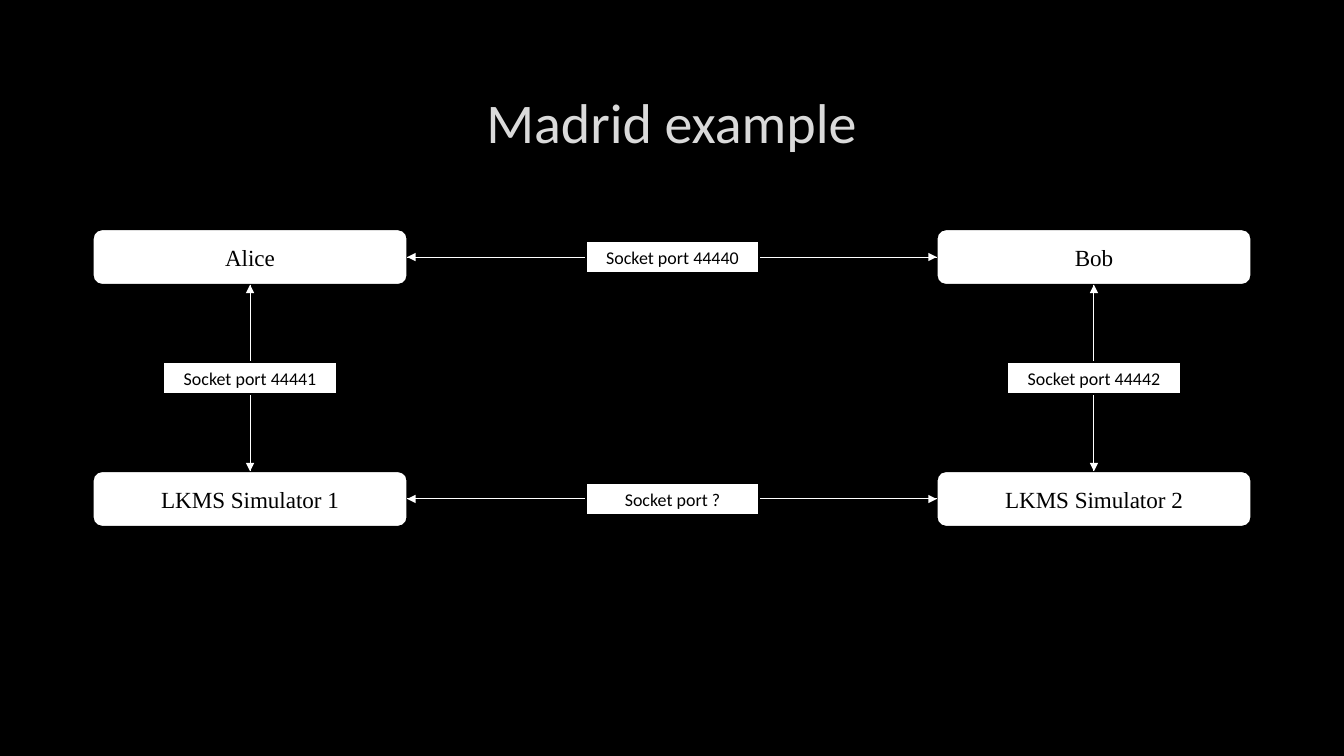
from itertools import permutations

from lxml import etree
from pptx import Presentation
from pptx.dml.color import RGBColor
from pptx.enum.shapes import MSO_CONNECTOR, MSO_SHAPE
from pptx.enum.text import MSO_ANCHOR, MSO_AUTO_SIZE, PP_ALIGN
from pptx.oxml import parse_xml
from pptx.oxml.ns import nsdecls, qn
from pptx.util import Inches, Pt


def color(hex_value):
    return RGBColor.from_string(hex_value)


def write(shape, text, format_values, hex_value):
    frame = shape.text_frame
    frame.word_wrap = True
    frame.auto_size = MSO_AUTO_SIZE.NONE
    frame.vertical_anchor = MSO_ANCHOR.MIDDLE
    paragraph = frame.paragraphs[0]
    paragraph.alignment = PP_ALIGN.CENTER
    run = paragraph.add_run()
    run.text = text
    for name, value in format_values.items():
        setattr(run.font, name, value)
    run.font.color.rgb = color(hex_value)
    return run


presentation = Presentation()
presentation.slide_width, presentation.slide_height = Inches(13.33), Inches(7.5)
slide = presentation.slides.add_slide(presentation.slide_layouts[5])
slide.background.fill.solid()
slide.background.fill.fore_color.rgb = color("000000")

# Title with a faint outline on its letters
title = slide.shapes.title
title.left, title.top, title.width, title.height = map(Inches, (1, 0.67, 11.32, 1.06))
title_run = write(title, "Madrid example", {"name": "Calibri", "size": Pt(40)}, "DADADA")
title_run.font._element.insert(0, parse_xml(
    f'<a:ln {nsdecls("a")} w="9525"><a:solidFill><a:srgbClr val="404040">'
    '<a:alpha val="10000"/></a:srgbClr></a:solidFill></a:ln>'))

# Grid: centres of two columns and two rows, with the middles between them
columns = {"left": 2.48, "middle": 6.67, "right": 10.85}
rows = {"top": 2.55, "middle": 3.75, "bottom": 4.95}
node_style = (MSO_SHAPE.ROUNDED_RECTANGLE, 3.12, 0.55,
              {"name": "Times New Roman", "size": Pt(16.5)})
label_style = (MSO_SHAPE.RECTANGLE, 1.72, 0.32, {"name": "Calibri", "size": Pt(12.8)})
nodes = [
    ("Alice", "left", "top"),
    ("Bob", "right", "top"),
    ("LKMS Simulator 1", "left", "bottom"),
    ("LKMS Simulator 2", "right", "bottom"),
]
labels = [
    ("Socket port 44440", "middle", "top"),
    ("Socket port ?", "middle", "bottom"),
    ("Socket port 44441", "left", "middle"),
    ("Socket port 44442", "right", "middle"),
]

# Nodes, then port labels
boxes = {}
for style, entries in ((node_style, nodes), (label_style, labels)):
    preset, width, height, format_values = style
    for text, column, row in entries:
        box = slide.shapes.add_shape(
            preset, Inches(columns[column] - width / 2), Inches(rows[row] - height / 2),
            Inches(width), Inches(height))
        box.shadow.inherit = False
        box.fill.solid()
        box.fill.fore_color.rgb = color("FFFFFF")
        box.line.color.rgb = color("000000")
        box.line.width = Pt(1.25)
        write(box, text, format_values, "000000")
        boxes[text] = box

# Links: one arrow each way, glued to the facing sides and kept behind the labels
TOP, LEFT, BOTTOM, RIGHT = range(4)
links = [
    (("Alice", RIGHT), ("Bob", LEFT)),
    (("Alice", BOTTOM), ("LKMS Simulator 1", TOP)),
    (("LKMS Simulator 1", RIGHT), ("LKMS Simulator 2", LEFT)),
    (("Bob", BOTTOM), ("LKMS Simulator 2", TOP)),
]
first_label = boxes[labels[0][0]]
for link in links:
    for (source, source_side), (target, target_side) in permutations(link):
        arrow = slide.shapes.add_connector(MSO_CONNECTOR.STRAIGHT, 0, 0, 0, 0)
        arrow.begin_connect(boxes[source], source_side)
        arrow.end_connect(boxes[target], target_side)
        arrow.line.color.rgb = color("FFFFFF")
        arrow.line.width = Pt(0.75)
        etree.SubElement(arrow.line._get_or_add_ln(), qn("a:tailEnd"), type="triangle")
        etree.SubElement(arrow._element.spPr, qn("a:effectLst"))
        first_label._element.addprevious(arrow._element)

presentation.save("out.pptx")
